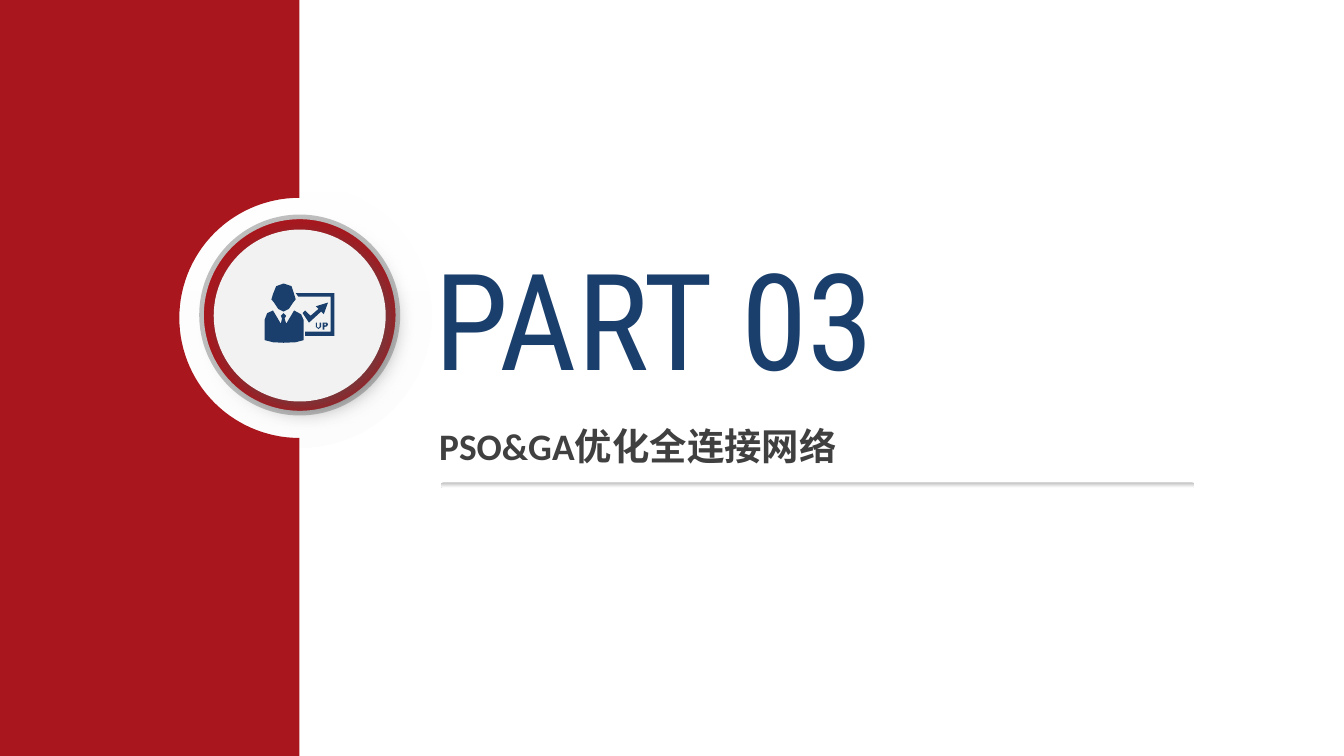
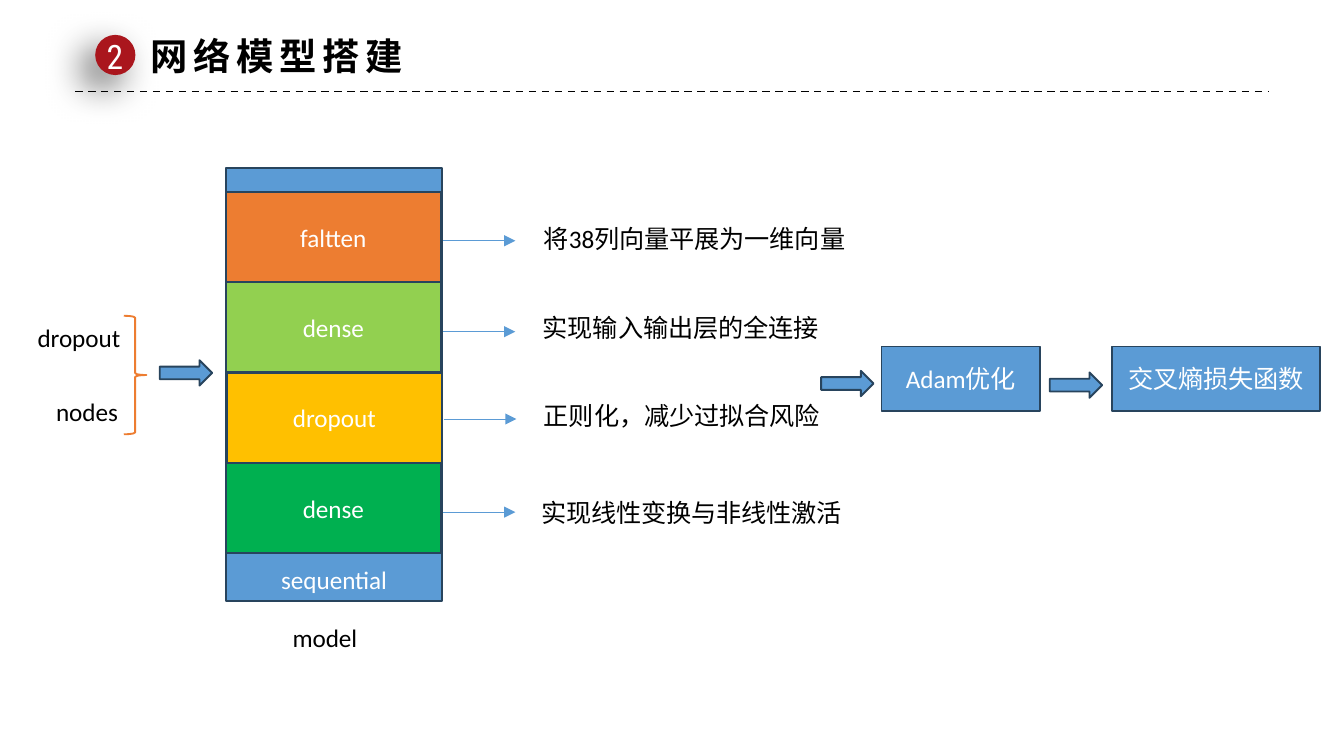
"""Builds a section slide and a network model slide."""
import math

import pptx
import pptx.dml.color
import pptx.enum.dml
import pptx.enum.shapes
import pptx.enum.text
import pptx.oxml.ns
import pptx.oxml.xmlchemy
import pptx.util
from lxml import etree

Cm = pptx.util.Cm
Pt = pptx.util.Pt
KIND = pptx.enum.shapes.MSO_SHAPE
ALIGN = pptx.enum.text.PP_ALIGN
ANCHOR = pptx.enum.text.MSO_ANCHOR

RED, NAVY, BLUE, EDGE = "AA161D", "1A3F6C", "5B9BD5", "28445D"
WHITE, BLACK, GREY = "FFFFFF", "000000", "BFBFBF"
BODY, HAN, HEAD = "Calibri", "Noto Sans CJK SC", "Roboto Condensed"

ICON = [
    [[(5.59, 5.54), (5.64, 5.61), (6.25, 5.61), (6.25, 6.27),
      (5.77, 6.27), (5.77, 6.35), (6.32, 6.35), (6.32, 5.54)]],
    [[(5.18, 5.72), (5.26, 5.84), (5.36, 5.89), (5.46, 5.84),
      (5.54, 5.72), (5.59, 5.66), (5.56, 5.56), (5.51, 5.41),
      (5.36, 5.36), (5.22, 5.41), (5.16, 5.56), (5.13, 5.66)]],
    [[(5.77, 5.87), (5.72, 5.92), (5.84, 6.1), (6.07, 5.89), (6.12, 5.94),
      (6.2, 5.72), (5.97, 5.79), (6.02, 5.84), (5.87, 5.97)]],
    [[(5.56, 5.87), (5.41, 6.12), (5.38, 6.02), (5.41, 5.97), (5.36, 5.92),
      (5.31, 5.97), (5.33, 6.02), (5.31, 6.12), (5.16, 5.87), (5.05, 5.92),
      (5, 6.05), (5, 6.43), (5.16, 6.47), (5.36, 6.48), (5.59, 6.47),
      (5.74, 6.43), (5.74, 6.05), (5.69, 5.94)]],
    [[(5.97, 6.1), (5.97, 6.18), (6.02, 6.22), (6.07, 6.18), (6.07, 6.1),
      (6.04, 6.1), (6.04, 6.18), (6.02, 6.2), (5.99, 6.18), (5.99, 6.1)]],
    [[(6.1, 6.1), (6.1, 6.23), (6.13, 6.23), (6.13, 6.18),
      (6.18, 6.17), (6.2, 6.13), (6.18, 6.1)],
     [(6.13, 6.12), (6.13, 6.15), (6.16, 6.15), (6.16, 6.12)]],
]

LAYERS = [
    ("faltten", "ED7D31", 4.27, 4.55, "将38列向量平展为一维向量", 10.03, 4.09, 6.3),
    ("dense", "92D050", 4.27, 6.27, "实现输入输出层的全连接", 10.01, 5.77, 5.79),
    ("dropout", "FFC000", 4.29, 7.92, "正则化，减少过拟合风险", 10.03, 7.44, 5.79),
    ("dense", "00B050", 4.27, 9.68, "实现线性变换与非线性激活", 9.98, 9.27, 6.43),
]


def tone(code):
    """Turn a hex string into a colour."""
    return pptx.dml.color.RGBColor.from_string(code)


def node(home, tag, **attrs):
    """Append an XML element in the drawing namespace."""
    item = etree.SubElement(home, pptx.oxml.ns.qn("a:" + tag))
    for key, value in attrs.items():
        item.set(key, str(value))
    return item


def paint(shape, fill=None, line=None, width=1):
    """Set fill and outline, and drop the theme shadow."""
    shape.shadow.inherit = False
    if fill:
        shape.fill.solid()
        shape.fill.fore_color.rgb = tone(fill)
    else:
        shape.fill.background()
    if line:
        shape.line.color.rgb = tone(line)
        shape.line.width = Pt(width)
    else:
        shape.line.fill.background()
    return shape


def form(slide, kind, box, fill=None, line=None, width=1):
    """Add a preset shape; the box is in centimetres."""
    shape = slide.shapes.add_shape(kind, *map(Cm, box))
    return paint(shape, fill, line, width)


def blend(shape, first, last, solid=100):
    """Fill a shape with a gradient from top to bottom."""
    shape.fill.gradient()
    shape.fill.gradient_angle = 270
    for stop, code in zip(shape.fill.gradient_stops, (first, last)):
        stop.color.rgb = tone(code)
    if solid < 100:
        for item in list(shape.element.spPr.iter(pptx.oxml.ns.qn("a:srgbClr"))):
            node(item, "alpha", val=solid * 1000)


def shade(shape, code, solid, blur, gap, angle):
    """Give a shape an outer shadow."""
    home = shape.element.spPr.find(pptx.oxml.ns.qn("a:effectLst"))
    outer = node(home, "outerShdw", blurRad=Pt(blur), dist=Pt(gap),
                 dir=angle * 60000, algn="ctr", rotWithShape=0)
    node(node(outer, "srgbClr", val=code), "alpha", val=solid * 1000)


def trace(slide, loops, fill):
    """Draw a filled outline from closed loops of points."""
    loops = [[(Cm(x), Cm(y)) for x, y in loop] for loop in loops]
    pen = slide.shapes.build_freeform(*loops[0][0], scale=1.0)
    for i, loop in enumerate(loops):
        if i:
            pen.move_to(*loop[0])
        pen.add_line_segments(loop[1:], close=True)
    paint(pen.convert_to_shape(), fill)


def style(run, size, face, code, bold=False, space=0):
    """Format one run."""
    font = run.font
    font.size, font.name, font.bold = Pt(size), face, bold
    font.color.rgb = tone(code)
    node(run._r.get_or_add_rPr(), "ea", typeface=HAN)
    if space:
        run._r.get_or_add_rPr().set("spc", str(space * 100))


def label(slide, box, text, size=13.5, face=BODY, code=BLACK, bold=False,
          space=0, align=ALIGN.LEFT, wrap=False, tight=False):
    """Add a text box and return its paragraph."""
    frame = slide.shapes.add_textbox(*map(Cm, box)).text_frame
    frame.word_wrap = wrap
    frame.auto_size = pptx.enum.text.MSO_AUTO_SIZE.SHAPE_TO_FIT_TEXT
    if tight:
        frame.margin_left = frame.margin_right = Cm(0.18)
        frame.margin_top = frame.margin_bottom = Cm(0.1)
    frame.text = text
    para = frame.paragraphs[0]
    para.alignment = align
    style(para.runs[0], size, face, code, bold, space)
    return para


def block(slide, box, text, fill=BLUE, anchor=ANCHOR.MIDDLE):
    """Add an outlined rectangle with centred white text."""
    frame = form(slide, KIND.RECTANGLE, box, fill, EDGE).text_frame
    frame.text = text
    frame.word_wrap = True
    frame.vertical_anchor = anchor
    para = frame.paragraphs[0]
    para.alignment = ALIGN.CENTER
    style(para.runs[0], 13.5, BODY, WHITE)


def rule(slide, left, right, y, code, width, dash=False, tip=False):
    """Add a level line, dashed or with an arrowhead."""
    line = slide.shapes.add_connector(
        pptx.enum.shapes.MSO_CONNECTOR.STRAIGHT, Cm(left), Cm(y), Cm(right), Cm(y))
    line.line.color.rgb = tone(code)
    line.line.width = Pt(width)
    if dash:
        line.line.dash_style = pptx.enum.dml.MSO_LINE.DASH
    if tip:
        node(line.line._get_or_add_ln(), "tailEnd", type="triangle")
    node(line._element.spPr, "effectLst")


def badge(slide):
    """Draw the round badge and the red side panel."""
    halo = form(slide, KIND.OVAL, (3.18, 3.48, 4.98, 4.98), WHITE)
    blend(halo, WHITE, GREY, 3)
    form(slide, KIND.OVAL, (3.81, 4.1, 3.71, 3.71), RED, GREY, 2.5)
    disc = form(slide, KIND.OVAL, (4.04, 4.34, 3.25, 3.25), "F2F2F2")
    shade(disc, "525252", 64, 12, 5, 45)
    left, right, top, base = -0.25, 5.66, -1.19, 15.49
    arc = [(right - 2.27 * math.sin(math.radians(a)),
            6.01 - 2.27 * math.cos(math.radians(a))) for a in range(0, 181, 3)]
    trace(slide, [[(left, top), (right, top), *arc, (right, base), (left, base)]], RED)


def part(slide):
    """Build the section slide."""
    badge(slide)
    bar = form(slide, KIND.ROUNDED_RECTANGLE, (8.33, 9.12, 14.25, 0.1), GREY)
    bar.adjustments[0] = 0.5
    blend(bar, GREY, WHITE)
    label(slide, (8.03, 4.37, 10.01, 3.28), "PART 03", 72, HEAD, NAVY,
          wrap=True, tight=True)
    para = label(slide, (8.05, 7.87, 9.04, 1.12), "PSO&GA", 20, BODY, "404040",
                 True, wrap=True)
    run = para.add_run()
    run.text = "优化全连接网络"
    style(run, 20, HAN, "404040", True)
    for loops in ICON:
        trace(slide, loops, NAVY)


def title(slide, mark, text):
    """Add the numbered title over a dashed line."""
    rule(slide, 1.42, 23.98, 1.73, BLACK, 1, dash=True)
    dot = form(slide, KIND.OVAL, (1.8, 0.66, 0.76, 0.76), RED)
    shade(dot, BLACK, 60, 20, 10, 135)
    label(slide, (2.59, 0.51, 5.44, 1.12), text, 20, HAN, BLACK, True, 3)
    label(slide, (1.42, 0.58, 1.5, 0.97), mark, 18, HEAD, WHITE,
          align=ALIGN.CENTER, wrap=True, tight=True)


def model(slide):
    """Build the network model slide."""
    title(slide, "2", "网络模型搭建")
    block(slide, (4.27, 3.18, 4.09, 8.18), "sequential", anchor=ANCHOR.BOTTOM)
    for i, (name, fill, x, y, note, left, top, width) in enumerate(LAYERS):
        block(slide, (x, 3.63 + 1.71 * i, 4.06, 1.7), name, fill)
        rule(slide, x + 4.1, x + 5.47, y, BLUE, 0.5, tip=True)
        label(slide, (left, top, width, 0.84), note, wrap=i == 0)
    label(slide, (5.28, 11.63, 1.91, 0.84), "model")
    form(slide, KIND.RIGHT_BRACE, (2.34, 5.97, 0.43, 2.24), line="ED7D31")
    label(slide, (0.46, 5.97, 2.11, 0.84), "dropout")
    label(slide, (0.81, 7.37, 1.73, 0.84), "nodes")
    block(slide, (16.66, 6.55, 3, 1.22), "Adam优化")
    block(slide, (21.01, 6.55, 3.94, 1.22), "交叉熵损失函数")
    for x, y in ((3.02, 6.81), (15.52, 7.01), (19.84, 7.04)):
        form(slide, KIND.RIGHT_ARROW, (x, y, 0.99, 0.48), BLUE, EDGE)


def main():
    """Build and save the deck."""
    deck = pptx.Presentation()
    deck.slide_width, deck.slide_height = Cm(25.4), Cm(14.29)
    for build in (part, model):
        build(deck.slides.add_slide(deck.slide_layouts[6]))
    deck.save("out.pptx")


if __name__ == "__main__":
    main()
